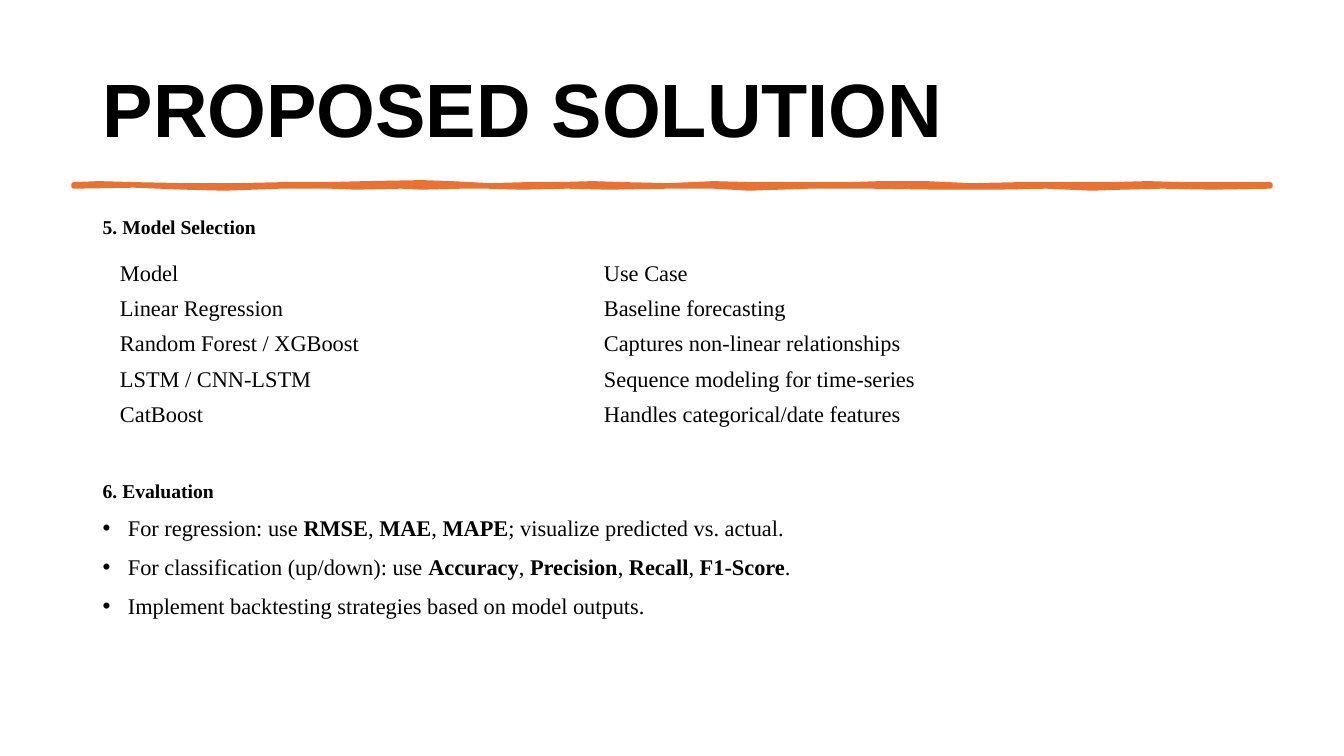
from lxml.etree import SubElement
from pptx import Presentation
from pptx.dml.color import RGBColor
from pptx.enum.text import MSO_ANCHOR
from pptx.oxml.ns import qn
from pptx.util import Inches, Pt

BLACK, ORANGE = "000000", "E97132"
SERIF = "Times New Roman"
LEFT, WIDTH = 0.92, 11.5

MODELS = [
    ("Model", "Use Case"),
    ("Linear Regression", "Baseline forecasting"),
    ("Random Forest / XGBoost", "Captures non-linear relationships"),
    ("LSTM / CNN-LSTM", "Sequence modeling for time-series"),
    ("CatBoost", "Handles categorical/date features"),
]

# Text between asterisks is bold.
EVALUATION = [
    "For regression: use *RMSE*, *MAE*, *MAPE*; visualize predicted vs. actual.",
    "For classification (up/down): use *Accuracy*, *Precision*, *Recall*, *F1‑Score*.",
    "Implement backtesting strategies based on model outputs.",
]

# Edges of the brush stroke, in hundredths of an inch from its top left corner.
STROKE_TOP = [
    (0, 0), (25, -1), (60, 0), (110, 1), (160, 1), (210, 0), (250, 0),
    (290, -1), (345, -2), (375, -1), (413, 1), (450, 0), (480, 0),
    (515, -1), (545, 0), (590, 1), (635, -1), (670, 0), (730, 0),
    (770, 0), (800, -1), (845, -1), (890, 1), (940, 0), (980, 0),
    (1030, 0), (1065, -1), (1100, 0), (1187, 0),
]
STROKE_BOTTOM = [
    (1187, 2), (1130, 3), (1080, 2), (1040, 3), (1010, 4), (965, 2),
    (915, 3), (860, 3), (790, 2), (730, 2), (670, 4), (635, 2), (590, 2),
    (530, 3), (490, 2), (445, 3), (410, 2), (385, 2), (345, 3), (325, 2),
    (280, 3), (255, 2), (205, 2), (150, 4), (110, 3), (60, 1), (0, 2),
]


def color(hex_value):
    return RGBColor.from_string(hex_value)


def set_font(paragraph, size, name=SERIF, bold=False):
    font = paragraph.font
    font.size, font.name, font.bold = Pt(size), name, bold
    font.color.rgb = color(BLACK)


def add_text_frame(slide, left, top, width, height):
    box = slide.shapes.add_textbox(*map(Inches, (left, top, width, height)))
    box.text_frame.word_wrap = True
    return box.text_frame


def add_heading(slide, text, left, top, width, height, size=14, name=SERIF):
    frame = add_text_frame(slide, left, top, width, height)
    frame.vertical_anchor = MSO_ANCHOR.TOP
    paragraph = frame.paragraphs[0]
    paragraph.text = text
    paragraph.line_spacing = 0.9
    set_font(paragraph, size, name, bold=True)
    return frame


def add_title(slide, left, top, width, height):
    frame = add_heading(slide, "PROPOSED SOLUTION", left, top, width, height, 54, "Arial")
    frame.vertical_anchor = MSO_ANCHOR.MIDDLE


def add_brush_stroke(slide, left, top):
    builder = slide.shapes.build_freeform(*STROKE_TOP[0], scale=Inches(0.01))
    builder.add_line_segments(STROKE_TOP[1:] + STROKE_BOTTOM, close=True)
    stroke = builder.convert_to_shape(Inches(left), Inches(top))
    stroke.shadow.inherit = False
    stroke.fill.solid()
    stroke.fill.fore_color.rgb = color(ORANGE)
    stroke.line.color.rgb = color(ORANGE)
    stroke.line.width = Pt(3.25)


def add_model_table(slide, left, top, width, row_height):
    height = row_height * len(MODELS)
    shape = slide.shapes.add_table(
        len(MODELS), 2, *map(Inches, (left, top, width, height)))
    table = shape.table
    table.first_row = table.horz_banding = False
    # "No Style, No Grid" keeps the cells free of borders.
    style = table._tbl.tblPr.find(qn("a:tableStyleId"))
    style.text = "{2D5ABB26-0587-4C30-8999-92F81FD0307C}"
    for row, texts in enumerate(MODELS):
        for column, text in enumerate(texts):
            cell = table.cell(row, column)
            cell.fill.background()
            cell.margin_top = cell.margin_bottom = Inches(0.04)
            cell.vertical_anchor = MSO_ANCHOR.MIDDLE
            cell.text = text
            set_font(cell.text_frame.paragraphs[0], 16)


def add_bullet(paragraph, indent=0.25):
    properties = paragraph._p.get_or_add_pPr()
    properties.set("marL", str(Inches(indent)))
    properties.set("indent", str(-Inches(indent)))
    SubElement(properties, qn("a:buFont")).set("typeface", "Arial")
    SubElement(properties, qn("a:buChar")).set("char", "•")


def add_evaluation(slide, left, top, width, height):
    frame = add_heading(slide, "6. Evaluation", left, top, width, height)
    for text in EVALUATION:
        paragraph = frame.add_paragraph()
        paragraph.line_spacing = 0.9
        paragraph.space_before = Pt(10.5)
        add_bullet(paragraph)
        set_font(paragraph, 16)
        for index, part in enumerate(text.split("*")):
            run = paragraph.add_run()
            run.text = part
            if index % 2:
                run.font.bold = True


def main():
    presentation = Presentation()
    presentation.slide_width = Inches(13.33)
    presentation.slide_height = Inches(7.5)
    slide = presentation.slides.add_slide(presentation.slide_layouts[6])
    add_title(slide, LEFT, 0.4, WIDTH, 1.45)
    add_brush_stroke(slide, 0.73, 1.83)
    add_heading(slide, "5. Model Selection", LEFT, 2.11, WIDTH, 0.4)
    add_model_table(slide, 1.09, 2.54, 9.6, 0.35)
    add_evaluation(slide, LEFT, 4.73, WIDTH, 2.37)
    presentation.save("out.pptx")


if __name__ == "__main__":
    main()
